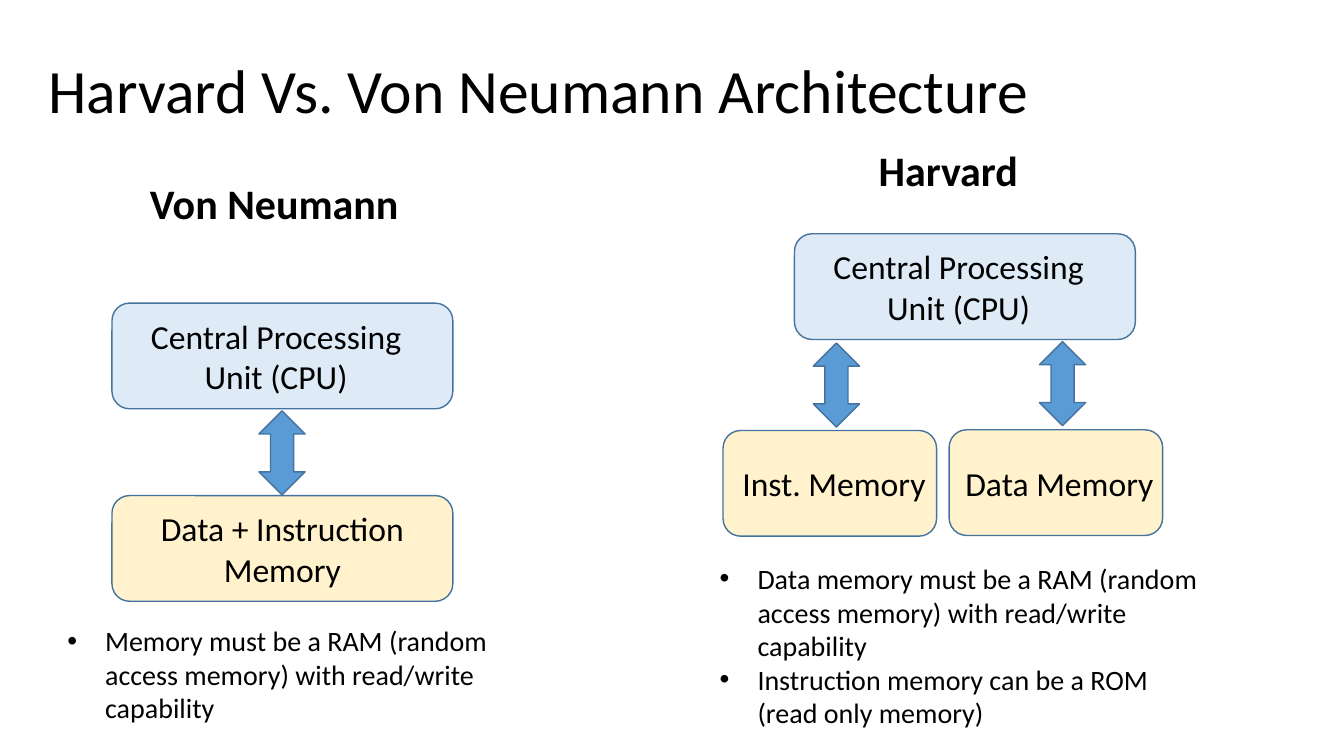
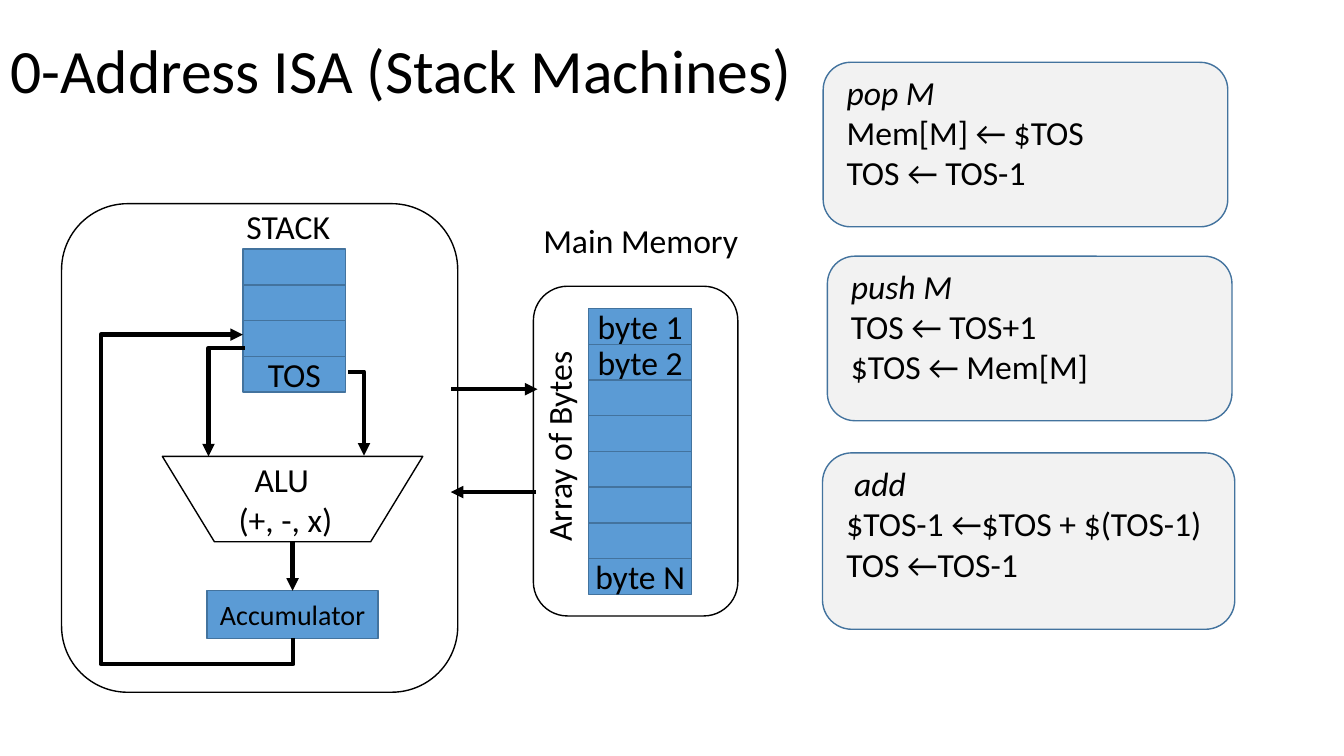
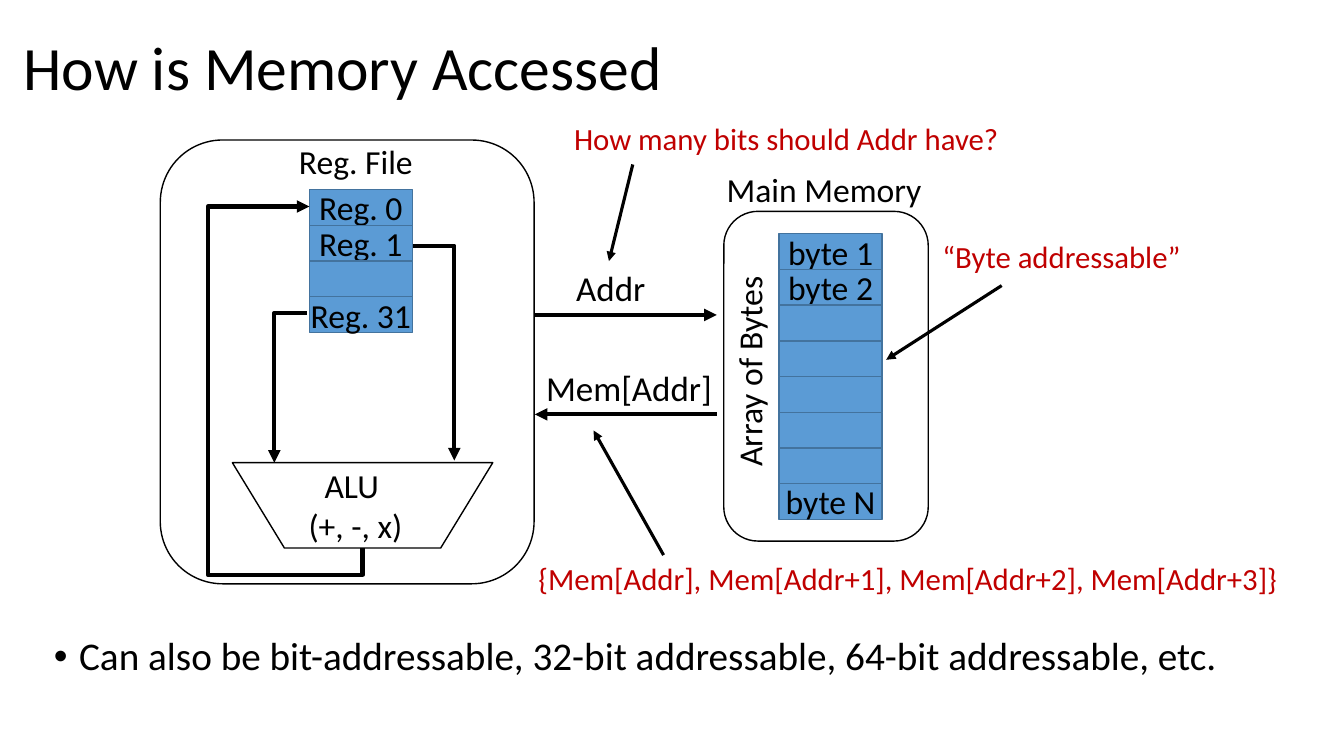
from dataclasses import dataclass

from lxml import etree
from pptx import Presentation
from pptx.dml.color import RGBColor
from pptx.enum import shapes, text as text_enum
from pptx.oxml.ns import qn
from pptx.util import Pt


@dataclass(frozen=True)
class Theme:
    font: str = "Calibri"
    black: str = "000000"
    red: str = "C00000"
    blue: str = "5B9BD5"
    outline: str = "43739E"
    pale_blue: str = "DEEBF7"
    cream: str = "FFF2CC"
    grey: str = "F2F2F2"
    title: int = 44
    heading: int = 30
    body: int = 28
    signal: int = 25
    label: int = 24
    question: int = 22
    note: int = 20


theme = Theme()
PRESET = shapes.MSO_SHAPE
ALIGN = text_enum.PP_ALIGN
ANCHOR = text_enum.MSO_ANCHOR


def add_item(slide, box, text="", kind=None, fill=None, line=None, size=theme.label,
             color=theme.black, bold=False, italic_first=False, align=ALIGN.LEFT,
             anchor=ANCHOR.TOP, wrap=True, margins=(7.2, 3.6, 7.2, 3.6),
             spacing=1.0, indent=0, rotation=0):
    """Place the title, a text box (no kind) or a preset shape, with its text."""
    left, top, width, height = (Pt(value) for value in box)
    if kind == "title":
        shape = slide.shapes.title
        shape.left, shape.top, shape.width, shape.height = left, top, width, height
    elif kind is None:
        shape = slide.shapes.add_textbox(left, top, width, height)
    else:
        shape = slide.shapes.add_shape(kind, left, top, width, height)
        shape.shadow.inherit = False
        shape.line.color.rgb = RGBColor.from_string(line or theme.outline)
        shape.line.width = Pt(1)
        if fill:
            shape.fill.solid()
            shape.fill.fore_color.rgb = RGBColor.from_string(fill)
        else:
            shape.fill.background()
    shape.rotation = rotation
    if not text:
        return shape

    frame = shape.text_frame
    frame.text = text
    frame.word_wrap = wrap
    frame.vertical_anchor = anchor
    (frame.margin_left, frame.margin_top,
     frame.margin_right, frame.margin_bottom) = (Pt(value) for value in margins)
    for number, paragraph in enumerate(frame.paragraphs):
        paragraph.alignment = align
        paragraph.line_spacing = spacing
        for run in paragraph.runs:
            run.font.name = theme.font
            run.font.size = Pt(size)
            run.font.bold = bold
            run.font.italic = italic_first and number == 0
            run.font.color.rgb = RGBColor.from_string(color)
        if indent:
            properties = paragraph._p.get_or_add_pPr()
            properties.set("marL", str(Pt(indent)))
            properties.set("indent", str(-Pt(indent)))
            etree.SubElement(properties, qn("a:buFont"), typeface="Arial")
            etree.SubElement(properties, qn("a:buChar"), char="•")
    return shape


def add_arrow(slide, start, end, width=3, corner=False, via=None):
    """Draw an arrow: straight, with one corner, or (head at start) around via x, y."""
    elbow = corner or via
    style = shapes.MSO_CONNECTOR.ELBOW if elbow else shapes.MSO_CONNECTOR.STRAIGHT
    connector = slide.shapes.add_connector(style, *(Pt(value) for value in (*start, *end)))
    connector.line.color.rgb = RGBColor.from_string(theme.black)
    connector.line.width = Pt(width)
    properties = connector._element.spPr
    etree.SubElement(properties.find(qn("a:ln")),
                     qn("a:headEnd" if via else "a:tailEnd"), type="triangle")
    etree.SubElement(properties, qn("a:effectLst"))
    if elbow:
        geometry = properties.find(qn("a:prstGeom"))
        geometry.set("prst", "bentConnector4" if via else "bentConnector2")
    if via:
        adjustments = geometry.find(qn("a:avLst"))
        if adjustments is None:
            adjustments = etree.SubElement(geometry, qn("a:avLst"))
        for axis in (0, 1):
            ratio = (via[axis] - start[axis]) / (end[axis] - start[axis])
            etree.SubElement(adjustments, qn("a:gd"), name=f"adj{axis + 1}",
                             fmla=f"val {round(ratio * 100000)}")
    return connector


presentation = Presentation()
presentation.slide_width, presentation.slide_height = Pt(960), Pt(540)

# Slides and titles
slides = []
for title, left, top in (
    ("Harvard Vs. Von Neumann Architecture", 27.5, 14.5),
    ("0-Address ISA (Stack Machines)", 0, 0),
    ("How is Memory Accessed", 9.5, -2),
):
    slide = presentation.slides.add_slide(presentation.slide_layouts[5])
    add_item(slide, (left, top, 828, 104.5), title, "title", size=theme.title,
             anchor=ANCHOR.MIDDLE, spacing=0.9)
    slides.append(slide)
architectures, stack_machine, memory_access = slides

# Slide 1: processor and memory blocks
cpu = "Central Processing Unit (CPU)"
for left, top, width, name, fill, margins in (
    (80, 216.5, 243.5, cpu, theme.pale_blue, (11, 0, 20, 0)),
    (80, 354, 243.5, "Data + Instruction Memory", theme.cream, (0, 0, 0, 0)),
    (567.5, 167, 243.5, cpu, theme.pale_blue, (11, 0, 20, 0)),
    (516.5, 307.5, 152.5, "Inst. Memory", theme.cream, (6, 0, 0, 0)),
    (678, 307, 152.5, "Data Memory", theme.cream, (5, 0, 0, 0)),
):
    add_item(architectures, (left, top, width, 75.5), name, PRESET.ROUNDED_RECTANGLE, fill,
             align=ALIGN.CENTER, anchor=ANCHOR.MIDDLE, margins=margins)
for left, top in ((185, 293.5), (581, 245), (742.5, 244)):
    add_item(architectures, (left, top, 33, 60), kind=PRESET.UP_DOWN_ARROW, fill=theme.blue)

# Slide 1: headings and notes
for box, heading in (((100, 123, 194, 44), "Von Neumann"), ((620.5, 99.5, 115, 44), "Harvard")):
    add_item(architectures, box, heading, size=theme.heading, bold=True, wrap=False)
for box, notes in (
    ((41, 442, 365, 80), "Memory must be a RAM (random access memory) with read/write capability"),
    ((507, 397.5, 365, 128),
     "Data memory must be a RAM (random access memory) with read/write capability\n"
     "Instruction memory can be a ROM (read only memory)"),
):
    add_item(architectures, box, notes, size=theme.note, indent=27)

# Slides 2 and 3: processor outline, ALU, registers and main memory
cell_width, cell_height = 73.5, 25.5
memory_cells = ["byte 1", "byte 2", *[""] * 5, "byte N"]
alus = []
for slide, processor, alu, registers, register_cells, memory, memory_label in (
    (stack_machine, (44, 145.5, 283, 349), (116, 326), (173.5, 178),
     ["", "", "", "TOS"], (381, 204.5), (381, 153.5)),
    (memory_access, (114.5, 100, 267, 317), (166, 330.5), (221, 135.5),
     ["Reg. 0", "Reg. 1", "", "Reg. 31"], (517, 151), (512, 117)),
):
    for outline in (processor, (*memory, 146, 235.5)):
        add_item(slide, outline, kind=PRESET.ROUNDED_RECTANGLE, line=theme.black)
    alus.append(add_item(slide, (*alu, 186, 61), "ALU \n(+, -, x)",
                         PRESET.FLOWCHART_MANUAL_OPERATION, line=theme.black,
                         align=ALIGN.CENTER, anchor=ANCHOR.MIDDLE, margins=(0, 0, 10, 0)))
    for (left, top), names in ((registers, register_cells),
                               ((memory[0] + 39.5, memory[1] + 16), memory_cells)):
        for row, name in enumerate(names):
            add_item(slide, (left, top + row * cell_height, cell_width, cell_height), name,
                     PRESET.RECTANGLE, theme.blue, align=ALIGN.CENTER,
                     anchor=ANCHOR.MIDDLE, wrap=False, margins=(0, 0, 0, 0))
    add_item(slide, (*memory_label, 155, 36), "Main Memory", wrap=False)
    add_item(slide, (memory[0] - 57.5, memory[1] + 96, 151, 36), "Array of Bytes",
             wrap=False, rotation=270)

# Slide 2: accumulator and data paths
add_item(stack_machine, (169, 143.5, 75, 36), "STACK", wrap=False)
accumulator = add_item(stack_machine, (148, 422, 122, 34), "Accumulator", PRESET.RECTANGLE,
                       theme.blue, size=theme.note, align=ALIGN.CENTER,
                       anchor=ANCHOR.MIDDLE, wrap=False, margins=(0, 0, 0, 0))
result = add_arrow(stack_machine, (209, 387), (209, 422))
result.begin_connect(alus[0], 2)
result.end_connect(accumulator, 0)
add_arrow(stack_machine, (248.5, 265.5), (260, 325.5), corner=True)
add_arrow(stack_machine, (175, 248.5), (149, 326), corner=True)
add_arrow(stack_machine, (173.5, 239), (209.5, 456), via=(72, 474.5))
add_arrow(stack_machine, (322.5, 278), (384, 278))
add_arrow(stack_machine, (383, 351.5), (322, 351.5))

# Slide 2: instruction cards
for box, instruction in (
    ((588, 44.5, 289, 117.5), "pop M\nMem[M] ← $TOS\nTOS ← TOS-1"),
    ((591, 183, 289, 117.5), "push M\nTOS ← TOS+1\n$TOS ← Mem[M]"),
    ((587.5, 323.5, 294.5, 126), " add\n$TOS-1 ←$TOS + $(TOS-1)\nTOS ←TOS-1"),
):
    add_item(stack_machine, box, instruction, PRESET.ROUNDED_RECTANGLE, theme.grey,
             italic_first=True, margins=(11, 1, 0, 0))

# Slide 3: data paths
add_arrow(memory_access, (219, 223.5), (196, 330.5), corner=True)
add_arrow(memory_access, (295, 175.5), (324.5, 329), corner=True)
add_arrow(memory_access, (221, 147.5), (259, 391.5), via=(148.5, 410.5))
add_arrow(memory_access, (381.5, 225), (512, 225))
add_arrow(memory_access, (512, 296), (382, 296))

# Slide 3: labels, questions and their pointers
for box, label, size, color in (
    ((206.5, 97, 96.5, 36), "Reg. File", theme.label, theme.black),
    ((404.5, 186.5, 65, 37.5), "Addr", theme.signal, theme.black),
    ((383, 258, 134.5, 37.5), "Mem[Addr]", theme.signal, theme.black),
    ((666, 166.5, 186.5, 60.5), "“Byte addressable”", theme.question, theme.red),
    ((403, 82, 321, 60.5), "How many bits should Addr have?", theme.question, theme.red),
    ((377.5, 396, 548.5, 60.5), "{Mem[Addr], Mem[Addr+1], Mem[Addr+2], Mem[Addr+3]}",
     theme.question, theme.red),
):
    add_item(memory_access, box, label, size=size, color=color, wrap=False)
for start, end in (((715.5, 204), (633, 257)), ((452, 117.5), (435, 186.5)),
                   ((474, 396.5), (424, 307.5))):
    add_arrow(memory_access, start, end, width=2.25)
add_item(memory_access, (31.5, 451.5, 859, 65),
         "Can also be bit-addressable, 32-bit addressable, 64-bit addressable, etc.",
         size=theme.body, spacing=0.9, indent=18)

presentation.save("out.pptx")
